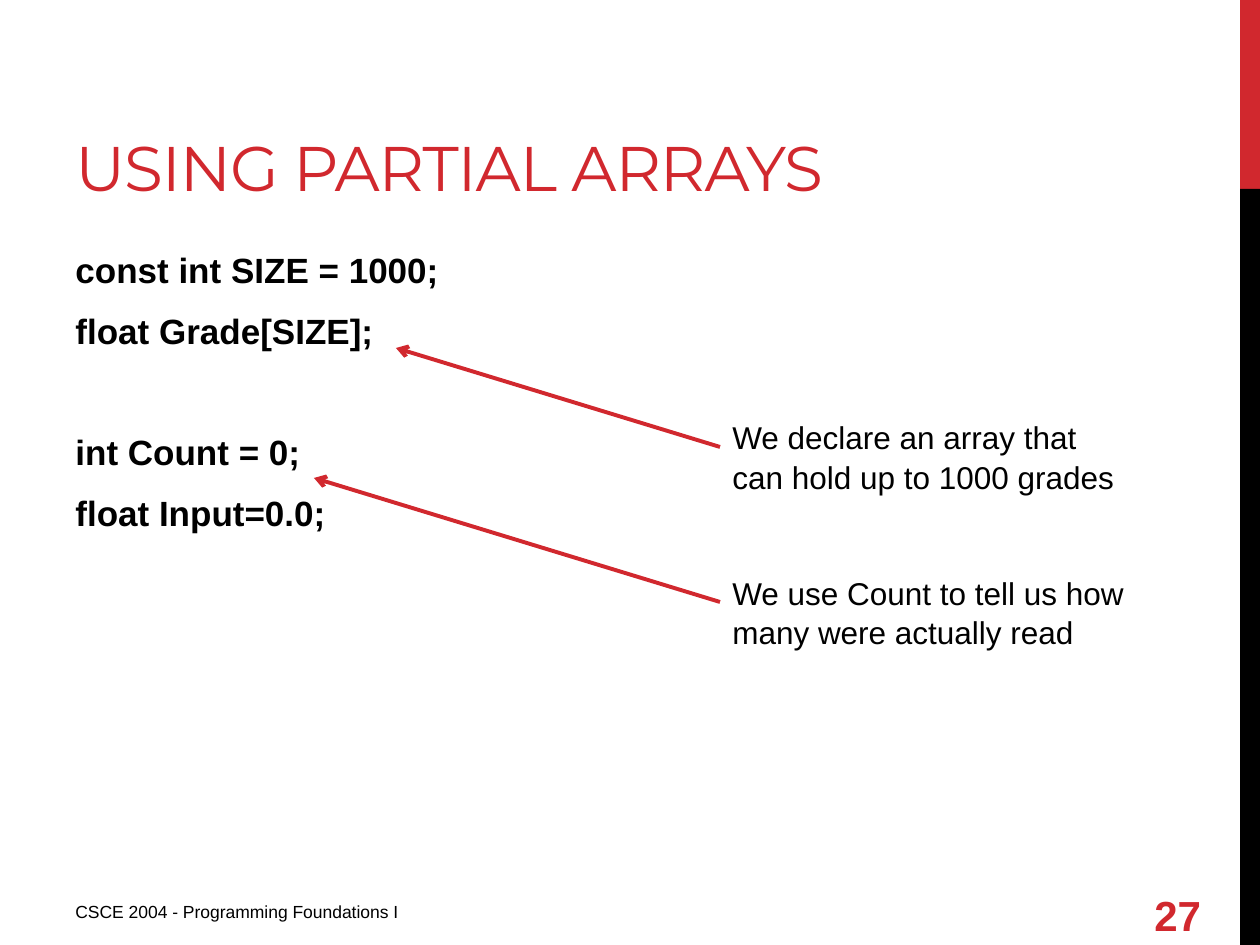
from lxml.etree import SubElement
from pptx import Presentation
from pptx.dml.color import RGBColor
from pptx.enum.shapes import MSO_CONNECTOR as Conn, MSO_SHAPE as Shape
from pptx.enum.text import MSO_ANCHOR as Anchor
from pptx.oxml.ns import qn
from pptx.util import Pt

RED, BLACK = "D1282E", "000000"
SCALE = 914400 / 126


def emu(*px):
    return [round(v * SCALE) for v in px]


def color(code):
    return RGBColor.from_string(code)


class Deck:
    font = "Arial"

    def __init__(self, wide, high):
        self.prs = Presentation()
        self.prs.slide_width, self.prs.slide_height = emu(wide, high)
        self.slide = self.prs.slides.add_slide(self.prs.slide_layouts[6])
        self.shapes = self.slide.shapes

    def bar(self, box, fill):
        bar = self.shapes.add_shape(Shape.RECTANGLE, *emu(*box))
        bar.shadow.inherit = False
        bar.fill.solid()
        bar.fill.fore_color.rgb = color(fill)
        bar.line.fill.background()

    def text(self, box, lines, size, fill=BLACK, bold=False, font=font,
             anchor=Anchor.TOP, before=(), after=0, lead=1.0, track=0):
        """Add a text box; before holds the space above each line in points."""
        frame = self.shapes.add_textbox(*emu(*box)).text_frame
        frame.word_wrap = True
        frame.vertical_anchor = anchor
        frame.text = "\n".join(lines)
        for para in frame.paragraphs:
            para.space_after = Pt(after)
            para.line_spacing = lead
            for run in para.runs:
                run.font.size = Pt(size)
                run.font.name = font
                run.font.bold = bold
                run.font.color.rgb = color(fill)
                if track:
                    run.font._element.set("spc", str(track))
        for para, gap in zip(frame.paragraphs, before):
            para.space_before = Pt(gap)

    def arrow(self, start, end):
        line = self.shapes.add_connector(Conn.STRAIGHT, *emu(*start, *end))
        line.line.color.rgb = color(RED)
        line.line.width = Pt(2.25)
        SubElement(line.line._get_or_add_ln(), qn("a:tailEnd"), type="arrow")
        SubElement(line._element.spPr, qn("a:effectLst"))


def main():
    deck = Deck(1260, 945)
    deck.bar((1240, 0, 20, 189), RED)
    deck.bar((1240, 189, 20, 756), BLACK)

    deck.text((63, 21, 798, 189), ["USING PARTIAL ARRAYS"], 36, RED,
              font="Montserrat", anchor=Anchor.BOTTOM, track=-60)
    code = ["const int SIZE = 1000;", "float Grade[SIZE];",
            "int Count = 0;", "float Input=0.0;"]
    deck.text((63, 242, 1050, 602), code, 20, bold=True,
              before=(1.5, 5, 39, 5), after=6)
    deck.text((63, 895, 472, 39), ["CSCE 2004 - Programming Foundations I"], 10)
    deck.text((1142, 890, 93, 50), ["27"], 24, RED, bold=True,
              anchor=Anchor.MIDDLE)
    notes = ["We declare an array that can hold up to 1000 grades",
             "We use Count to tell us how many were actually read"]
    deck.text((720, 410, 417, 242), notes, 18, before=(0, 43.5), lead=1.05)

    deck.arrow((720, 447), (396, 348))
    deck.arrow((720, 602), (314, 478))
    deck.prs.save("out.pptx")


if __name__ == "__main__":
    main()
